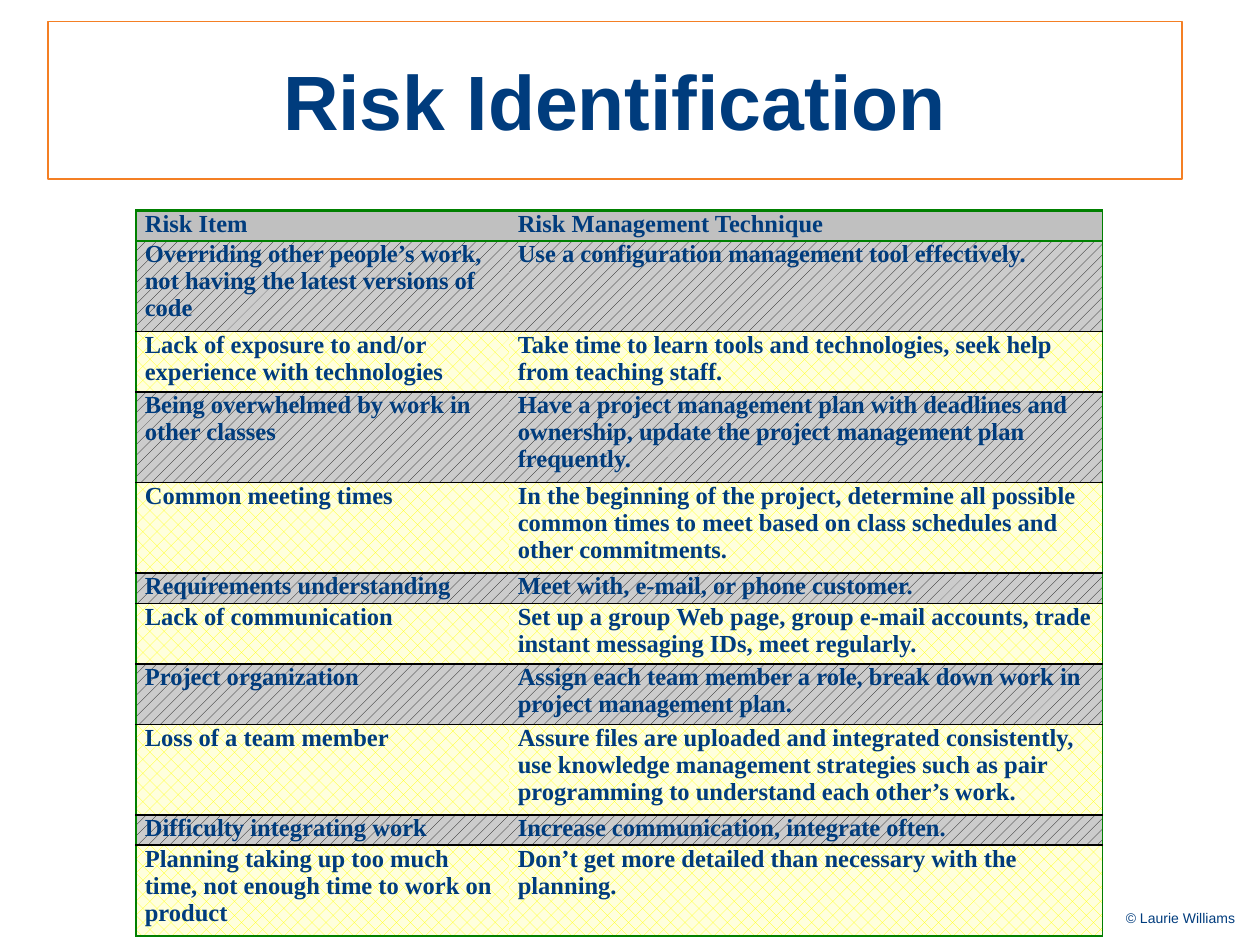
from pptx import Presentation
from pptx import util as u
from pptx.dml.color import RGBColor
from pptx.enum import dml, text
from lxml import etree

HUES = {"navy": "003C7D", "orange": "F47F24", "green": "008000", "black": "000000",
        "head": "C0C0C0", "gray": "CCCCCC", "yellow": "FFFF00", "cream": "FFFFDD"}
NS = "http://schemas.openxmlformats.org/drawingml/2006/main"
LINE = 0.24  # height of one line of table text

# Risk, technique, lines of text in the row
RISKS = [
    ("Risk Item", "Risk Management Technique", 1),
    ("Overriding other people’s work, not having the latest versions of code",
     "Use a configuration management tool effectively.", 3),
    ("Lack of exposure to and/or experience with technologies",
     "Take time to learn tools and technologies, seek help from teaching staff.", 2),
    ("Being overwhelmed by work in other classes",
     "Have a project management plan with deadlines and ownership, "
     "update the project management plan frequently.", 3),
    ("Common meeting times",
     "In the beginning of the project, determine all possible common times "
     "to meet based on class schedules and other commitments.", 3),
    ("Requirements understanding", "Meet with, e-mail, or phone customer.", 1),
    ("Lack of communication",
     "Set up a group Web page, group e-mail accounts, trade instant messaging IDs, "
     "meet regularly.", 2),
    ("Project organization",
     "Assign each team member a role, break down work in project management plan.", 2),
    ("Loss of a team member",
     "Assure files are uploaded and integrated consistently, use knowledge management "
     "strategies such as pair programming to understand each other’s work.", 3),
    ("Difficulty integrating work", "Increase communication, integrate often.", 1),
    ("Planning taking up too much time, not enough time to work on product",
     "Don’t get more detailed than necessary with the planning.", 3),
]


def hue(name):
    return RGBColor.from_string(HUES[name])


def write(frame, words, size, font="Arial", bold=False, align=text.PP_ALIGN.LEFT):
    frame.word_wrap = True
    para = frame.paragraphs[0]
    para.alignment = align
    run = para.add_run()
    run.text = words
    run.font.size, run.font.name, run.font.bold = u.Pt(size), font, bold
    run.font.color.rgb = hue("navy")


def place(shape, box):
    shape.left, shape.top, shape.width, shape.height = map(u.Inches, box)


def edge(cell, sides):
    """Draw cell borders; sides holds (color, points) or None in the order L, R, T, B."""
    props = cell._tc.get_or_add_tcPr()
    for spot, (side, look) in enumerate(zip("LRTB", sides)):
        line = etree.Element(f"{{{NS}}}ln{side}")
        if look:
            line.set("w", str(u.Pt(look[1])))
            fill = etree.SubElement(line, f"{{{NS}}}solidFill")
            etree.SubElement(fill, f"{{{NS}}}srgbClr", val=HUES[look[0]])
        else:
            etree.SubElement(line, f"{{{NS}}}noFill")
        props.insert(spot, line)


def shade(cell, row):
    if row == 0:
        cell.fill.solid()
        cell.fill.fore_color.rgb = hue("head")
        return
    kind = dml.MSO_PATTERN
    look, fore, back = ((kind.PERCENT_20, "black", "gray") if row % 2
                        else (kind.PERCENT_25, "yellow", "cream"))
    cell.fill.patterned()
    cell.fill.pattern = look
    cell.fill.fore_color.rgb, cell.fill.back_color.rgb = hue(fore), hue(back)


def title(slide, box):
    head = slide.shapes.title
    place(head, box)
    head.line.color.rgb = hue("orange")
    head.line.width = u.Pt(1)
    head.text_frame.vertical_anchor = text.MSO_ANCHOR.MIDDLE
    write(head.text_frame, "Risk Identification", 44, bold=True, align=text.PP_ALIGN.CENTER)


def grid(slide, box, split):
    left, top, width, height = map(u.Inches, box)
    table = slide.shapes.add_table(len(RISKS), 2, left, top, width, height).table
    table.first_row = table.horz_banding = False
    table.columns[0].width = u.Inches(split)
    table.columns[1].width = width - u.Inches(split)
    rim, thick, thin = ("green", 1), ("green", 1.5), ("black", 1)
    last = len(RISKS) - 1
    for row, (*words, lines) in enumerate(RISKS):
        table.rows[row].height = u.Inches(LINE * lines)
        over = thick if row < 2 else thin
        under = thick if row in (0, last) else thin
        for col, part in enumerate(words):
            cell = table.cell(row, col)
            cell.margin_left = cell.margin_right = u.Inches(0.07)
            cell.margin_top = cell.margin_bottom = 0
            write(cell.text_frame, part, 14, font="Times New Roman", bold=True)
            shade(cell, row)
            edge(cell, (None if col else rim, rim if col else None, over, under))


def credit(slide, box):
    note = slide.shapes.add_textbox(*map(u.Inches, box))
    write(note.text_frame, "© Laurie Williams", 8, align=text.PP_ALIGN.CENTER)


# Build the slide
deck = Presentation()
deck.slide_width, deck.slide_height = u.Inches(10), u.Inches(7.5)
page = deck.slides.add_slide(deck.slide_layouts[5])
title(page, (0.38, 0.17, 9, 1.25))
grid(page, (1.08, 1.67, 7.67, 5.76), 2.96)
credit(page, (8.33, 7.17, 2.08, 0.33))
deck.save("out.pptx")
